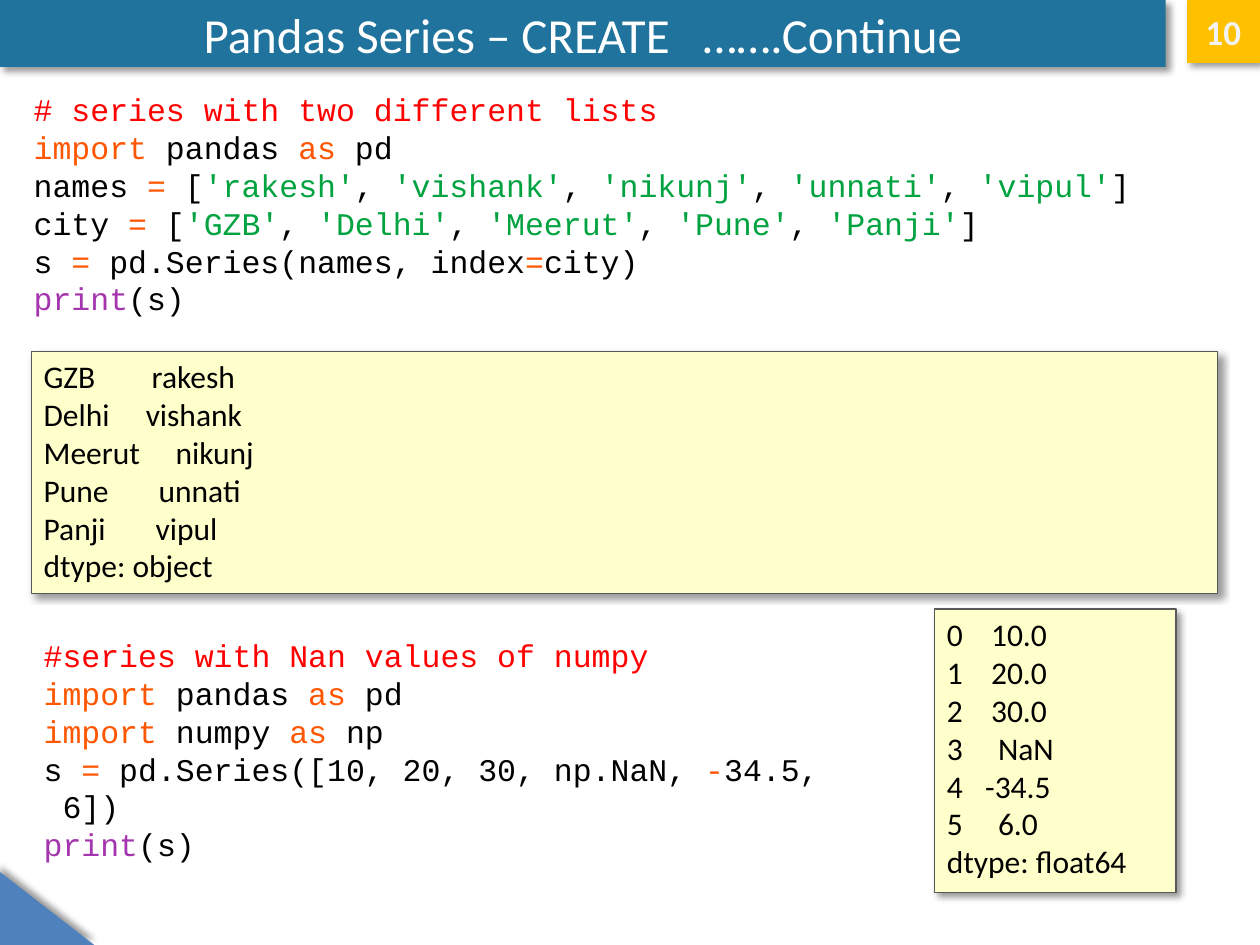
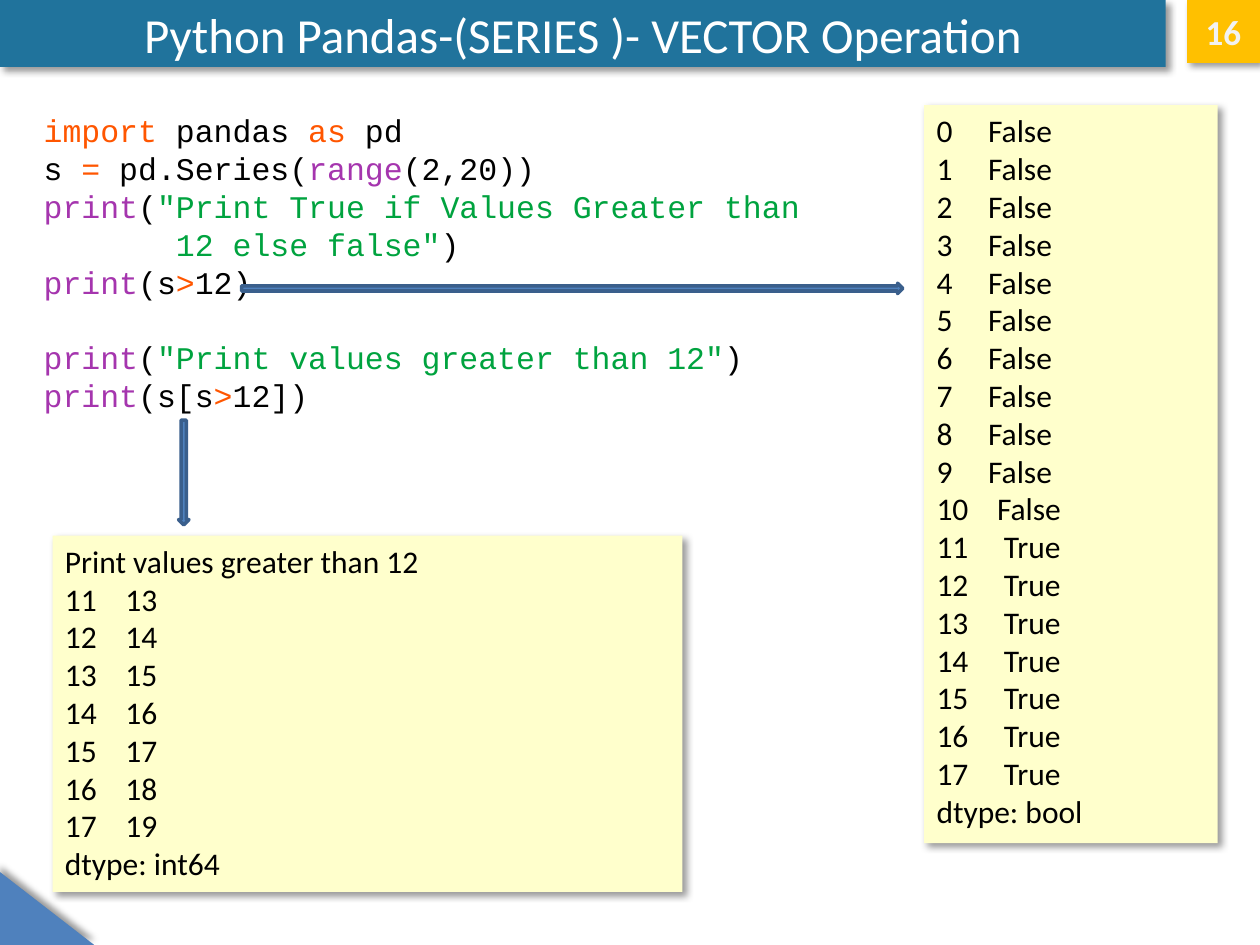
from lxml import etree
from pptx import Presentation
from pptx.dml.color import RGBColor
from pptx.enum.shapes import MSO_SHAPE
from pptx.enum.text import MSO_ANCHOR, PP_ALIGN
from pptx.oxml.ns import qn
from pptx.util import Cm, Pt

RECT = MSO_SHAPE.RECTANGLE
TRIANGLE = MSO_SHAPE.RIGHT_TRIANGLE
DOWN, RIGHT = MSO_SHAPE.DOWN_ARROW, MSO_SHAPE.RIGHT_ARROW
TOP, MIDDLE = MSO_ANCHOR.TOP, MSO_ANCHOR.MIDDLE
LEFT, CENTER = PP_ALIGN.LEFT, PP_ALIGN.CENTER

BLACK = RGBColor(0x00, 0x00, 0x00)
WHITE = RGBColor(0xFF, 0xFF, 0xFF)
TEAL = RGBColor(0x20, 0x73, 0x9C)
BLUE = RGBColor(0x4F, 0x81, 0xBD)
DARK_BLUE = RGBColor(0x3A, 0x5F, 0x8C)
GOLD = RGBColor(0xFF, 0xC0, 0x00)
PALE_GREY = RGBColor(0xF2, 0xF2, 0xF2)
CREAM = RGBColor(0xFF, 0xFF, 0xCC)
GREY = RGBColor(0x59, 0x59, 0x59)
RED = RGBColor(0xFF, 0x00, 0x00)
ORANGE = RGBColor(0xFF, 0x56, 0x00)
GREEN = RGBColor(0x00, 0xA3, 0x3F)
PURPLE = RGBColor(0xA5, 0x35, 0xAE)

BODY_FONT, CODE_FONT = "Calibri", "Courier New"
LINE_PITCH = Pt(21.6)
TOKEN_COLORS = {"import": ORANGE, "as": ORANGE, "=": ORANGE, ">": ORANGE,
                "-": ORANGE, "print": PURPLE, "range": PURPLE}


def token_color(token):
    if token.startswith("#"):
        return RED
    if token[0] in "'\"" or token[-1] in "'\"":
        return GREEN
    return TOKEN_COLORS.get(token.strip(), BLACK)


class Deck:
    def __init__(self):
        self.prs = Presentation()
        self.prs.slide_width, self.prs.slide_height = Cm(25.4), Cm(19.05)
        self.slide = None

    def add_slide(self, title, number):
        self.slide = self.prs.slides.add_slide(self.prs.slide_layouts[6])
        self.shape(TRIANGLE, (0, 17.58, 1.9, 1.47), BLUE, shadow=270)
        sp = self.shape(RECT, (0, 0, 23.5, 1.35), TEAL, shadow=45)
        self.label(sp, title, 28, WHITE)
        sp = self.shape(RECT, (23.93, 0, 1.47, 1.27), GOLD, shadow=45)
        self.label(sp, number, 20, PALE_GREY, bold=True)

    def shape(self, kind, box, fill, line=None, width=0.75, shadow=None):
        sp = self.slide.shapes.add_shape(kind, *map(Cm, box))
        sp.shadow.inherit = False
        sp.fill.solid()
        sp.fill.fore_color.rgb = fill
        if line is None:
            sp.line.fill.background()
        else:
            sp.line.color.rgb = line
            sp.line.width = Pt(width)
        if shadow is not None:
            self.add_shadow(sp, shadow)
        return sp

    def add_shadow(self, sp, angle):
        effects = sp._element.spPr.find(qn("a:effectLst"))
        outer = etree.SubElement(effects, qn("a:outerShdw"), blurRad=str(Pt(4)),
                                 dist=str(Pt(3)), dir=str(angle * 60000),
                                 algn="tl", rotWithShape="0")
        color = etree.SubElement(outer, qn("a:srgbClr"), val="000000")
        etree.SubElement(color, qn("a:alpha"), val="40000")

    def label(self, sp, text, size, color, bold=False):
        tf = sp.text_frame
        tf.vertical_anchor = MIDDLE
        p = tf.paragraphs[0]
        p.alignment = CENTER
        head, gap, tail = text.partition("|")
        p.add_run().text = head
        if gap:
            r = p.add_run()
            r.text = " "
            r.font._element.set("spc", "1270")
            p.add_run().text = tail
        self.style(p, BODY_FONT, size, color, bold)

    def style(self, p, name, size, color=None, bold=False):
        p.font.name = name
        p.font.size = Pt(size)
        p.font.bold = bold
        if color is not None:
            p.font.color.rgb = color

    def lines(self, tf, items):
        tf.word_wrap = True
        tf.vertical_anchor = TOP
        for i, item in enumerate(items):
            p = tf.paragraphs[0] if i == 0 else tf.add_paragraph()
            p.alignment = LEFT
            p.line_spacing = LINE_PITCH
            yield p, item

    def code(self, box, rows, gap_before=None):
        tf = self.slide.shapes.add_textbox(*map(Cm, box)).text_frame
        for p, row in self.lines(tf, rows):
            if row == gap_before:
                p.space_before = LINE_PITCH
            self.style(p, CODE_FONT, 18)
            for token in row.split("|"):
                r = p.add_run()
                r.text = token
                r.font.color.rgb = token_color(token)

    def output(self, box, rows, dtype, heading=None, line=None):
        sp = self.shape(RECT, box, CREAM, line, shadow=45)
        items = [(heading,)] if heading else []
        items += [*rows, (f"dtype: {dtype}",)]
        for p, item in self.lines(sp.text_frame, items):
            if len(item) == 3:
                tabs = etree.SubElement(p._p.get_or_add_pPr(), qn("a:tabLst"))
                etree.SubElement(tabs, qn("a:tab"), pos=str(Cm(item[2])), algn="l")
            p.add_run().text = "\t".join(item[:2])
            self.style(p, BODY_FONT, 18, BLACK)

    def arrow(self, kind, box):
        self.shape(kind, box, BLUE, DARK_BLUE, 2)


def create_slide(deck):
    deck.add_slide("Pandas Series – CREATE|…….Continue", "10")
    deck.code((0.43, 1.7, 24.13, 4.88), [
        "# series with two different lists",
        "import| pandas |as| pd",
        "names |=| [|'rakesh'|, |'vishank'|, |'nikunj'|, |'unnati'|, |'vipul'|]",
        "city |=| [|'GZB'|, |'Delhi'|, |'Meerut'|, |'Pune'|, |'Panji'|]",
        "s |=| pd.Series(names, index|=|city)",
        "print|(s)",
    ])
    deck.output((0.63, 7.08, 23.92, 4.88), [
        ("GZB", "rakesh", 2.18),
        ("Delhi", "vishank", 2.06),
        ("Meerut", "nikunj", 2.66),
        ("Pune", "unnati", 2.32),
        ("Panji", "vipul", 2.26),
    ], "object", line=GREY)
    deck.code((0.63, 12.7, 16.3, 4.8), [
        "#series with Nan values of numpy",
        "import| pandas |as| pd",
        "import| numpy |as| np",
        "s |=| pd.Series([10, 20, 30, np.NaN, |-|34.5,",
        " 6])",
        "print|(s)",
    ])
    deck.output((18.84, 12.28, 4.87, 5.71), [
        ("0", "10.0", 0.89),
        ("1", "20.0", 0.89),
        ("2", "30.0", 0.89),
        ("3", "NaN", 1.03),
        ("4", "-34.5", 0.77),
        ("5", "6.0", 1.03),
    ], "float64", line=GREY)


def vector_slide(deck):
    deck.add_slide("Python Pandas-(SERIES )- VECTOR Operation", "16")
    second_print = 'print|(|"Print values greater than 12"|)'
    deck.code((0.63, 2.12, 24.13, 6.4), [
        "import| pandas |as| pd",
        "s |=| pd.Series(|range|(2,20))",
        'print|(|"Print True if Values Greater than',
        '       12 else false"|)',
        "print|(s|>|12)",
        second_print,
        "print|(s[s|>|12])",
    ], gap_before=second_print)
    values = list(enumerate(range(2, 20)))
    flags = [(str(i), str(v > 12), 1.36 if v > 12 else 1.22 if i > 9 else 1.04)
             for i, v in values]
    deck.output((18.63, 2.12, 5.92, 14.88), flags, "bool")
    kept = [(str(i), str(v), 1.22) for i, v in values if v > 12]
    deck.output((1.06, 10.8, 12.7, 7.18), kept, "int64",
                heading="Print values greater than 12")
    deck.arrow(DOWN, (3.6, 8.47, 0.21, 2.11))
    deck.arrow(RIGHT, (4.87, 5.71, 13.33, 0.21))


def main():
    deck = Deck()
    create_slide(deck)
    vector_slide(deck)
    deck.prs.save("out.pptx")


if __name__ == "__main__":
    main()
